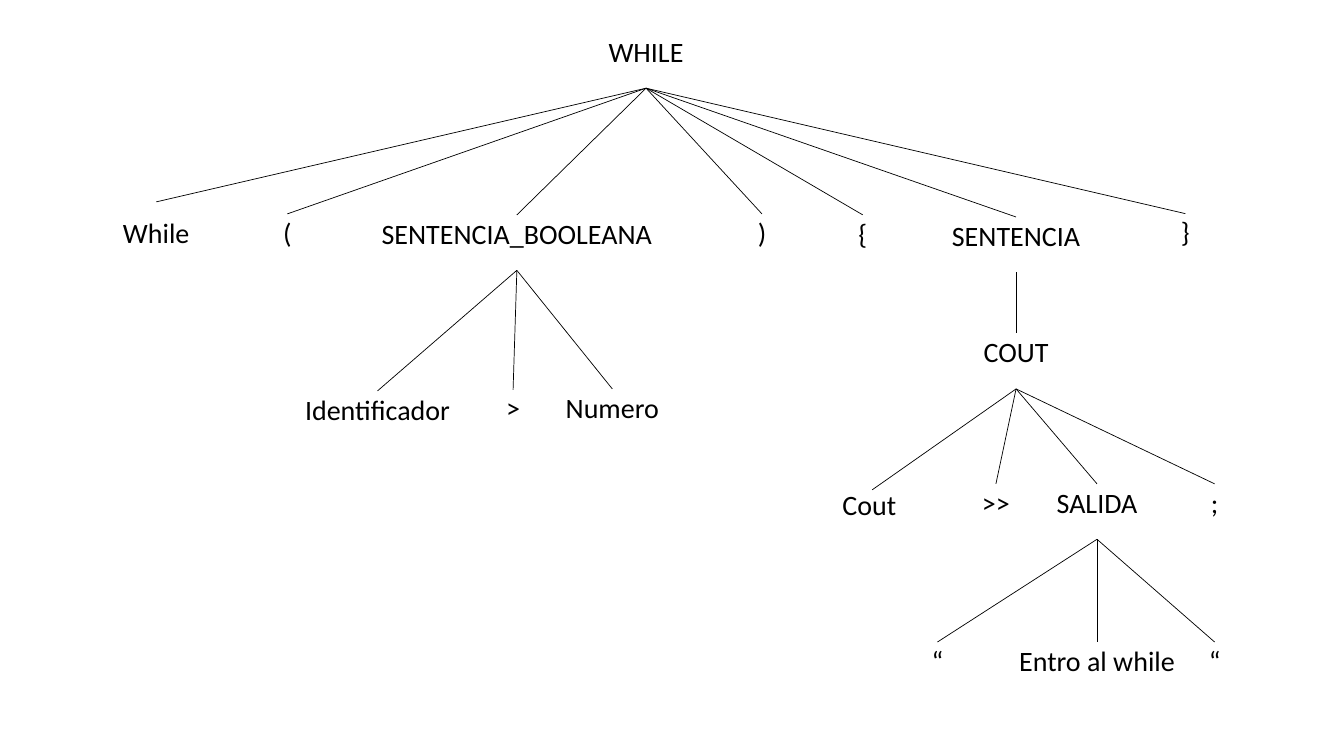
"""Build a slide with the syntax tree of a while statement."""
from lxml import etree
from pptx import Presentation
from pptx.dml.color import RGBColor
from pptx.enum.shapes import MSO_CONNECTOR
from pptx.enum.text import MSO_ANCHOR, MSO_AUTO_SIZE, PP_ALIGN
from pptx.oxml.ns import qn
from pptx.util import Pt

BLACK = RGBColor(0x00, 0x00, 0x00)
WHITE = RGBColor(0xFF, 0xFF, 0xFF)
STRAIGHT = MSO_CONNECTOR.STRAIGHT
NODE_HEIGHT = 39.6

FRAME_FORMAT = {
    "word_wrap": True,
    "auto_size": MSO_AUTO_SIZE.NONE,
    "vertical_anchor": MSO_ANCHOR.TOP,
    "margin_left": Pt(7.2),
    "margin_right": Pt(7.2),
    "margin_top": Pt(3.6),
    "margin_bottom": Pt(3.6),
}
PARAGRAPH_FORMAT = {
    "alignment": PP_ALIGN.CENTER,
    "line_spacing": 0.9,
    "space_before": Pt(10),
}
FONT_FORMAT = {"name": "Calibri", "size": Pt(20), "bold": False}

# text, parent, center, top, width, branch end offset (x, y)
NODES = [
    ("WHILE", None, 461.5, 23.4, 109.4, (0, 0)),
    ("While", "WHILE", 111.6, 152.8, 109.4, (0, -8.6)),
    ("(", "WHILE", 205.2, 152.8, 109.4, (0, 0)),
    ("SENTENCIA_BOOLEANA", "WHILE", 369.2, 153.5, 218.2, (0, 0)),
    (")", "WHILE", 544.3, 152.8, 109.4, (0, 0)),
    ("{", "WHILE", 616.3, 153.5, 109.4, (0, 0)),
    ("SENTENCIA", "WHILE", 725.8, 155, 138.2, (0, 0)),
    ("}", "WHILE", 846.7, 152.6, 109.4, (0, 0)),
    ("Identificador", "SENTENCIA_BOOLEANA", 269.7, 279.2, 144.7, (0, 0)),
    (">", "SENTENCIA_BOOLEANA", 366.5, 278.4, 49, (0, 0)),
    ("Numero", "SENTENCIA_BOOLEANA", 437.4, 277.8, 144.7, (0, 0)),
    ("COUT", "SENTENCIA", 725.8, 238.2, 144.7, (0, 0)),
    ("Cout", "COUT", 621, 347.2, 70.6, (2, 2.7)),
    (">>", "COUT", 711.4, 345.6, 49, (0, 0)),
    ("SALIDA", "COUT", 783.6, 345.6, 144.7, (0, 0)),
    (";", "COUT", 867.6, 345.6, 49, (0, 0)),
    ("“", "SALIDA", 669.6, 458.6, 70.6, (0, 0)),
    ("Entro al while", "SALIDA", 783.6, 458.6, 180.7, (0, 0)),
    ("“", "SALIDA", 867.6, 458.6, 49, (0, 0)),
]


def apply_format(target, values):
    for name, value in values.items():
        setattr(target, name, value)


presentation = Presentation()
presentation.slide_width = Pt(960)
presentation.slide_height = Pt(540)
slide = presentation.slides.add_slide(presentation.slide_layouts[5])
slide.background.fill.solid()
slide.background.fill.fore_color.rgb = WHITE

branch_starts = {}
for text, parent, center, top, width, (offset_x, offset_y) in NODES:
    box = (Pt(center - width / 2), Pt(top), Pt(width), Pt(NODE_HEIGHT))
    if parent is None:
        shape = slide.shapes.title
        apply_format(shape, dict(zip(("left", "top", "width", "height"), box)))
    else:
        shape = slide.shapes.add_textbox(*box)
        start_x, start_y = branch_starts[parent]
        branch = slide.shapes.add_connector(
            STRAIGHT, Pt(start_x), Pt(start_y), Pt(center + offset_x), Pt(top + offset_y)
        )
        branch.line.color.rgb = BLACK
        branch.line.width = Pt(0.5)
        etree.SubElement(branch._element.spPr, qn("a:effectLst"))
    branch_starts[text] = (center, top + NODE_HEIGHT)

    apply_format(shape.text_frame, FRAME_FORMAT)
    paragraph = shape.text_frame.paragraphs[0]
    apply_format(paragraph, PARAGRAPH_FORMAT)
    run = paragraph.add_run()
    run.text = text
    apply_format(run.font, FONT_FORMAT)
    run.font.color.rgb = BLACK

presentation.save("out.pptx")
